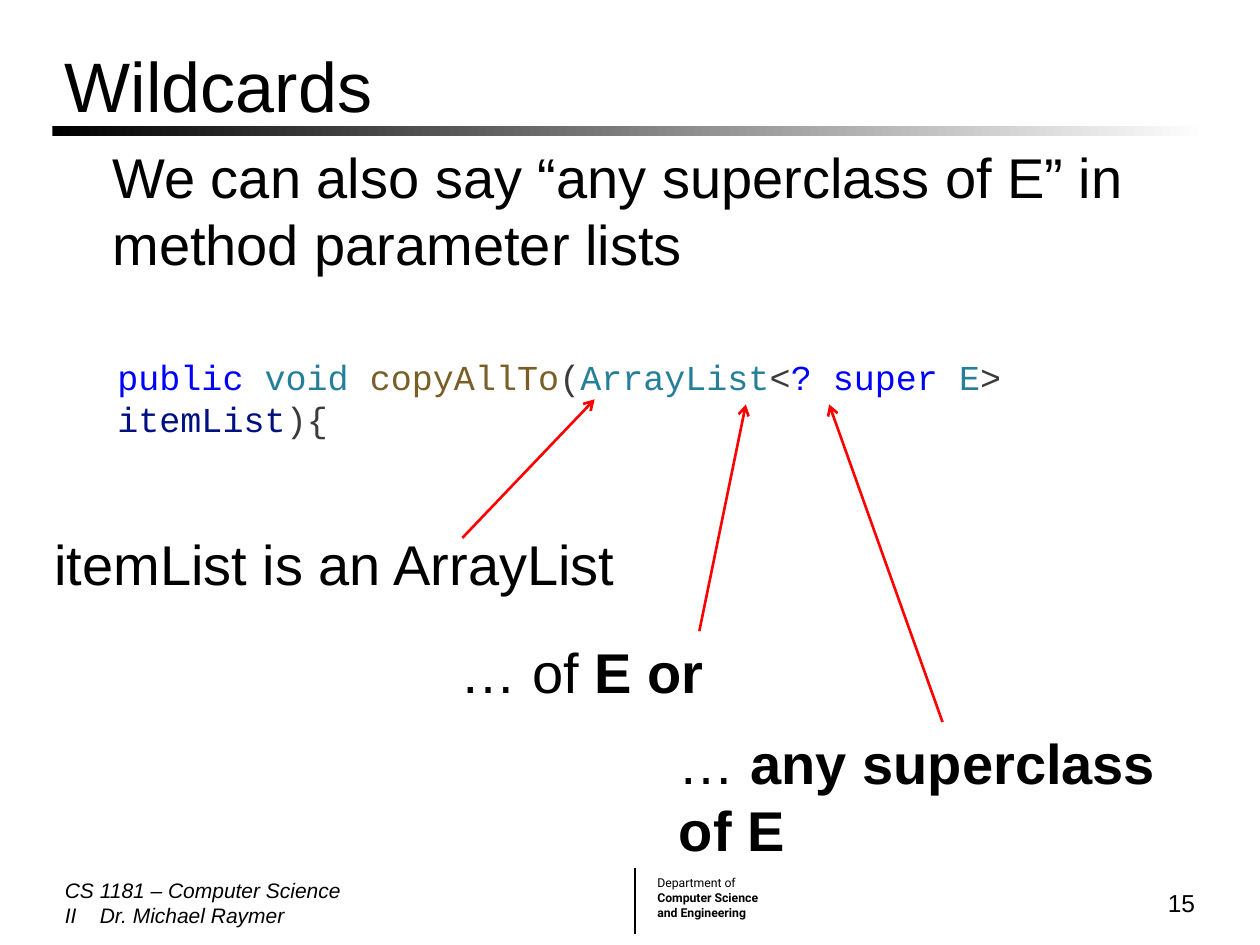
from pptx import Presentation
from pptx.dml.color import RGBColor
from pptx.enum.shapes import MSO_CONNECTOR, MSO_SHAPE
from pptx.enum.text import MSO_ANCHOR, PP_ALIGN
from pptx.oxml.ns import qn
from pptx.util import Pt
from lxml import etree

LINE = MSO_CONNECTOR.STRAIGHT
RECT = MSO_SHAPE.RECTANGLE
TOP, MID = MSO_ANCHOR.TOP, MSO_ANCHOR.MIDDLE
LEFT, RIGHT = PP_ALIGN.LEFT, PP_ALIGN.RIGHT
BLACK, WHITE, RED = "000000", "FFFFFF", "FF0000"
BLUE, TEAL, BROWN, NAVY, GRAY = "0000FF", "267F99", "795E26", "001080", "3B3B3B"

TITLE = "Wildcards"
BODY = "We can also say “any superclass of E” in method parameter lists"
COURSE = "CS 1181 – Computer Science II\tDr. Michael Raymer"
PAGE = "15"
DEPT = [("Department of", False), ("Computer Science", True), ("and Engineering", True)]
CODE = [
    ("public", BLUE), (" ", GRAY), ("void", TEAL), (" ", GRAY),
    ("copyAllTo", BROWN), ("(", GRAY), ("ArrayList", TEAL), ("<", GRAY),
    ("?", BLUE), (" ", GRAY), ("super", BLUE), (" ", GRAY), ("E", TEAL),
    ("> ", GRAY), ("itemList", NAVY), ("){", GRAY),
]
NOTES = [
    ((24, 298.8, 360, 46), [("itemList is an ArrayList", False)]),
    ((256.3, 360.7, 286.6, 46), [("… of ", False), ("E or", True)]),
    ((380.9, 412.6, 315.4, 46), [("… ", False), ("any superclass of E", True)]),
]
ARROWS = [
    ((264.2, 307.4), (339.8, 228.2)),
    ((399.6, 360.7), (426.2, 231.1)),
    ((538.6, 412.6), (473.8, 231.1)),
]
EDGE, WIDE = 30, 660
FOOT, HIGH = 498, 36


def paint(code):
    return RGBColor.from_string(code)


def add_text(box, paras, size, font="Arial", anchor=TOP, align=LEFT, wrap=True):
    shape = slide.shapes.add_textbox(*map(Pt, box))
    frame = shape.text_frame
    frame.word_wrap = wrap
    frame.vertical_anchor = anchor
    for i, runs in enumerate(paras):
        para = frame.paragraphs[0] if i == 0 else frame.add_paragraph()
        para.alignment = align
        for text, bold, color in runs:
            run = para.add_run()
            run.text = text
            run.font.name = font
            run.font.size = Pt(size)
            run.font.bold = bold
            run.font.color.rgb = paint(color)
    return frame


def add_line(start, end, color, arrow=False):
    line = slide.shapes.add_connector(LINE, *map(Pt, start + end))
    line.line.color.rgb = paint(color)
    line.line.width = Pt(1.5)
    props = line.line._get_or_add_ln()
    if arrow:
        etree.SubElement(props, qn("a:tailEnd"), type="arrow")
    etree.SubElement(props.getparent(), qn("a:effectLst"))


deck = Presentation()
deck.slide_width, deck.slide_height = Pt(720), Pt(540)
slide = deck.slides.add_slide(deck.slide_layouts[6])

rule = slide.shapes.add_shape(RECT, Pt(EDGE), Pt(72), Pt(WIDE), Pt(6))
rule.shadow.inherit = False
rule.line.fill.background()
rule.fill.gradient()
rule.fill.gradient_angle = 0
for stop, color in zip(rule.fill.gradient_stops, (BLACK, WHITE)):
    stop.color.rgb = paint(color)

add_line((362.9, 496), (362.9, 534), BLACK)
add_text((368.6, 496.8, 76.3, 32.4), [[(t, b, BLACK)] for t, b in DEPT],
         7, "Roboto", wrap=False)

add_text((EDGE, 24, WIDE, 48), [[(TITLE, False, BLACK)]], 40, anchor=MID)
body = add_text((EDGE, 78, WIDE, 114), [[(BODY, False, BLACK)]], 32)
body.margin_left = Pt(34.2)
body.paragraphs[0].space_before = Pt(6.4)

foot = add_text((EDGE, FOOT, 180, HIGH), [[(COURSE, False, BLACK)]], 12, anchor=MID)
para = foot.paragraphs[0]
para.runs[0].font.italic = True
tabs = etree.SubElement(para._p.get_or_add_pPr(), qn("a:tabLst"))
etree.SubElement(tabs, qn("a:tab"), pos=str(Pt(20)), algn="l")
add_text((540, FOOT, 150, HIGH), [[(PAGE, False, BLACK)]], 14, anchor=MID, align=RIGHT)

add_text((60, 199.4, 600, 31.7), [[(t, False, c) for t, c in CODE]], 20, "Courier New")
for box, runs in NOTES:
    add_text(box, [[(t, b, BLACK) for t, b in runs]], 32)
for start, end in ARROWS:
    add_line(start, end, RED, True)

deck.save("out.pptx")
